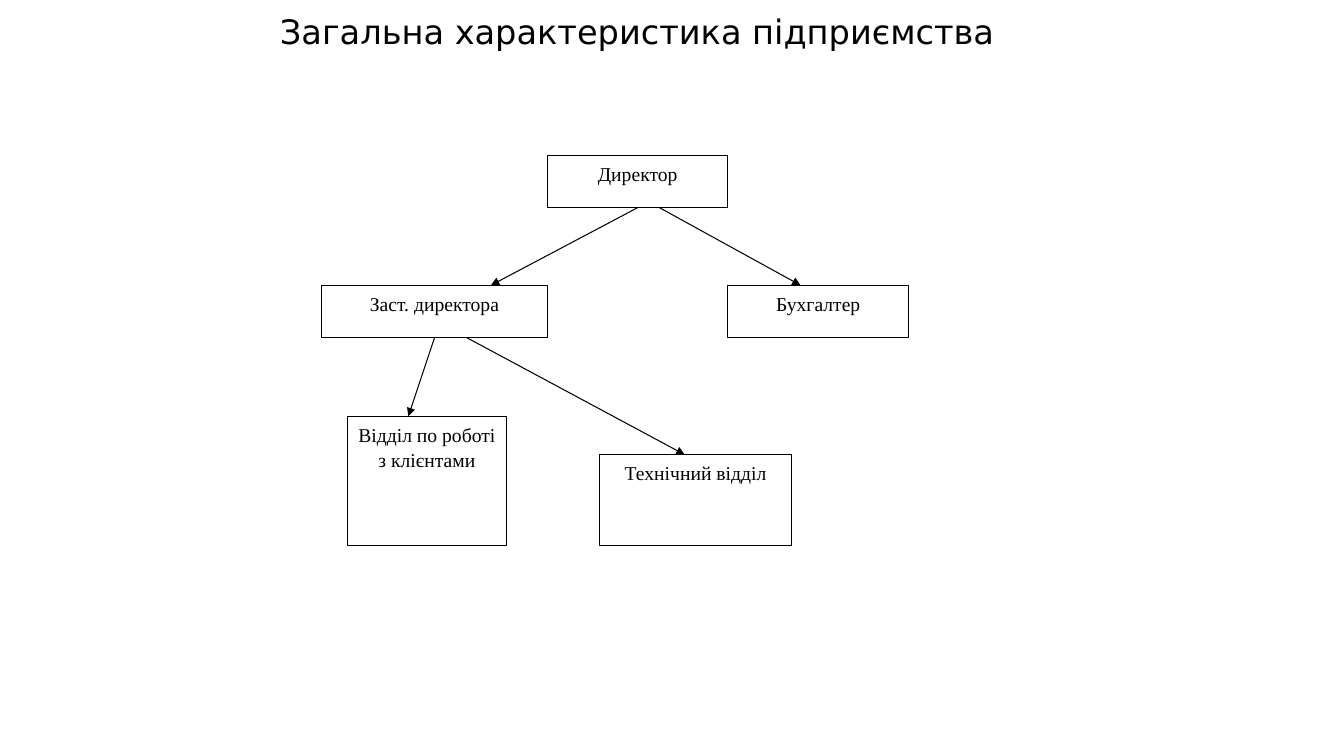
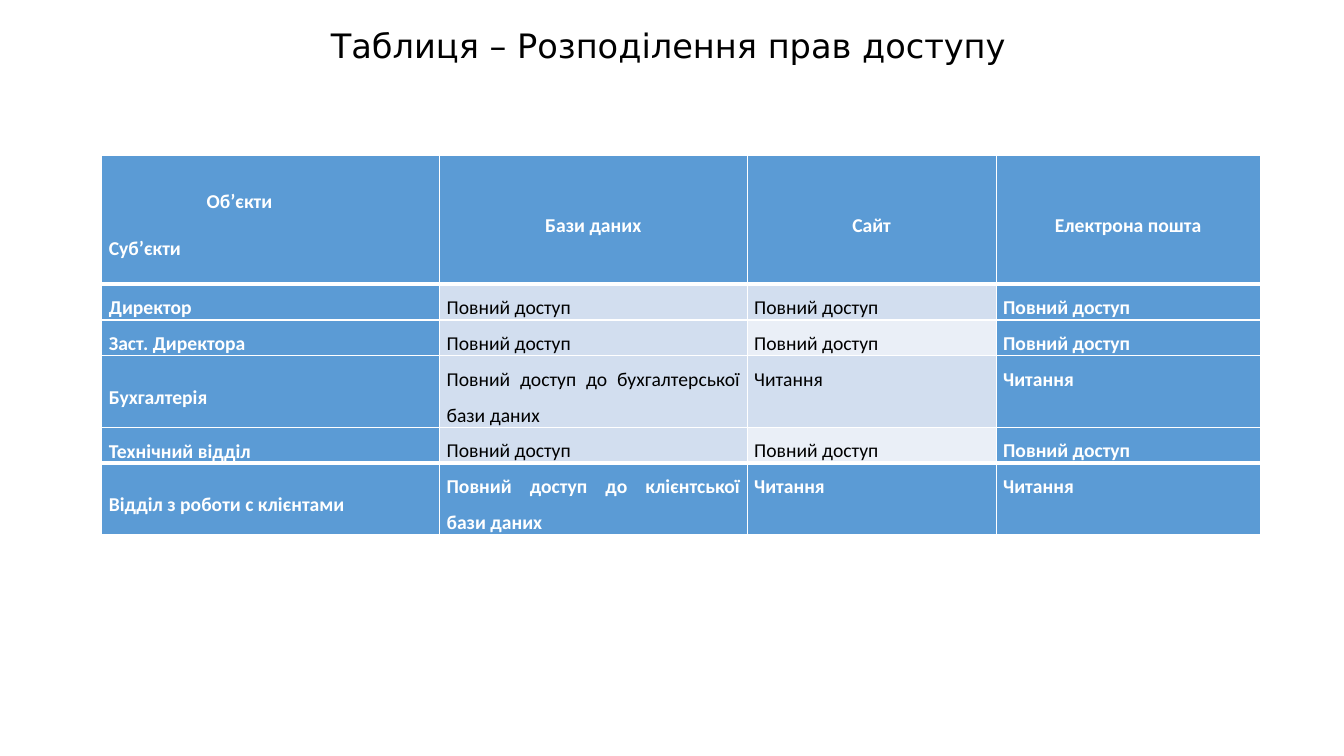
from dataclasses import dataclass

from pptx import Presentation
from pptx.dml.color import RGBColor
from pptx.enum import shapes, text
from pptx.oxml import ns
from pptx.util import Inches, Pt
from lxml import etree

BLACK, WHITE = "000000", "FFFFFF"
ACCENT, BAND, LIGHT_BAND = "5B9BD5", "D2DEEF", "EAEFF7"
TITLE_FONT, CHART_FONT, TABLE_FONT = "DejaVu Sans", "Times New Roman", "Calibri"
BOTTOM = 2


@dataclass
class Unit:
    label: str
    left: float
    top: float
    width: float
    height: float


@dataclass
class Arrow:
    start: tuple[float, float]
    end: tuple[float, float]
    source: str = ""


UNITS = [
    Unit("Директор", 5.43, 1.54, 1.79, 0.52),
    Unit("Заст. директора", 3.19, 2.83, 2.24, 0.52),
    Unit("Бухгалтер", 7.22, 2.83, 1.79, 0.52),
    Unit("Технічний відділ", 5.95, 4.51, 1.9, 0.9),
    Unit("Відділ по роботі з клієнтами", 3.45, 4.13, 1.57, 1.28),
]
ARROWS = [
    Arrow((6.54, 2.06), (7.94, 2.83)),
    Arrow((6.32, 2.06), (4.87, 2.83), "Директор"),
    Arrow((4.63, 3.35), (6.79, 4.51)),
    Arrow((4.31, 3.35), (4.05, 4.13), "Заст. директора"),
]

FULL, READ = "Повний доступ", "Читання"
ACCESS = [
    ["Об’єкти\nСуб’єкти", "Бази даних", "Сайт", "Електрона пошта"],
    ["Директор", FULL, FULL, FULL],
    ["Заст. Директора", FULL, FULL, FULL],
    ["Бухгалтерія", "Повний доступ до бухгалтерської бази даних", READ, READ],
    ["Технічний відділ", FULL, FULL, FULL],
    ["Відділ з роботи с клієнтами", "Повний доступ до клієнтської бази даних", READ, READ],
]
COLUMN_WIDTHS = [3.35, 3.05, 2.47, 2.62]
ROW_HEIGHTS = [1.28, 0.35, 0.35, 0.71, 0.35, 0.71]
LAST_ROW, LAST_COLUMN = len(ROW_HEIGHTS) - 1, len(COLUMN_WIDTHS) - 1


def color(value: str) -> RGBColor:
    """Turn a hex string into a colour."""
    return RGBColor.from_string(value)


def style_paragraph(paragraph, font: str, size: int, ink: str, align, spacing: float,
                    after: int = 0, bold: bool = False) -> None:
    """Set the font and spacing of one paragraph."""
    paragraph.font.name = font
    paragraph.font.size = Pt(size)
    paragraph.font.bold = bold
    paragraph.font.color.rgb = color(ink)
    paragraph.alignment = align
    paragraph.line_spacing = spacing
    paragraph.space_before = Pt(0)
    paragraph.space_after = Pt(after)


def add_titled_slide(presentation, title: str, left: float, top: float, height: float):
    """Add a title-only slide and format its title."""
    slide = presentation.slides.add_slide(presentation.slide_layouts[5])
    shape = slide.shapes.title
    shape.left, shape.top = Inches(left), Inches(top)
    shape.width, shape.height = Inches(11.5), Inches(height)
    frame = shape.text_frame
    frame.text = title
    frame.vertical_anchor = text.MSO_ANCHOR.MIDDLE
    style_paragraph(frame.paragraphs[0], TITLE_FONT, 24, BLACK, text.PP_ALIGN.CENTER, 0.9)
    return slide


def add_unit(slide, unit: Unit):
    """Draw one box of the organisation chart."""
    shape = slide.shapes.add_shape(
        shapes.MSO_SHAPE.RECTANGLE, Inches(unit.left), Inches(unit.top),
        Inches(unit.width), Inches(unit.height))
    shape.shadow.inherit = False
    shape.fill.solid()
    shape.fill.fore_color.rgb = color(WHITE)
    shape.line.color.rgb = color(BLACK)
    shape.line.width = Pt(0.75)
    frame = shape.text_frame
    frame.text = unit.label
    frame.word_wrap = True
    frame.vertical_anchor = text.MSO_ANCHOR.TOP
    style_paragraph(frame.paragraphs[0], CHART_FONT, 14, BLACK,
                    text.PP_ALIGN.CENTER, 1.07, after=8)
    return shape


def add_arrow(slide, arrow: Arrow, boxes: dict) -> None:
    """Draw one arrow between two boxes."""
    connector = slide.shapes.add_connector(
        shapes.MSO_CONNECTOR.STRAIGHT, *map(Inches, arrow.start + arrow.end))
    if arrow.source:
        connector.begin_connect(boxes[arrow.source], BOTTOM)
    connector.line.color.rgb = color(BLACK)
    connector.line.width = Pt(0.75)
    line = connector.line._get_or_add_ln()
    etree.SubElement(line, ns.qn("a:tailEnd"), type="triangle")
    etree.SubElement(connector._element.spPr, ns.qn("a:effectLst"))


def add_border(cell, side: str, width: float) -> None:
    """Add a white border to one side of a cell."""
    properties = cell._tc.get_or_add_tcPr()
    line = etree.SubElement(properties, ns.qn(f"a:ln{side}"), w=str(Pt(width)))
    fill = etree.SubElement(line, ns.qn("a:solidFill"))
    etree.SubElement(fill, ns.qn("a:srgbClr"), val=WHITE)


def cell_fill(row: int, column: int) -> str:
    """Choose the fill of a table cell from its place."""
    if row in (0, LAST_ROW) or column in (0, LAST_COLUMN):
        return ACCENT
    return LIGHT_BAND if column == 2 and row % 2 == 0 else BAND


def format_cell(cell, row: int, column: int) -> None:
    """Write and format one table cell."""
    heavy_top, heavy_bottom = row in (1, LAST_ROW), row in (0, LAST_ROW - 1)
    for side, heavy in (("L", False), ("R", False), ("T", heavy_top), ("B", heavy_bottom)):
        add_border(cell, side, 3 if heavy else 1)
    fill = cell_fill(row, column)
    cell.fill.solid()
    cell.fill.fore_color.rgb = color(fill)
    cell.margin_left = cell.margin_right = Inches(0.07)
    cell.margin_top = cell.margin_bottom = Inches(0)
    middle = row == 0 or column == 0
    cell.vertical_anchor = text.MSO_ANCHOR.MIDDLE if middle else text.MSO_ANCHOR.TOP
    if column == 0:
        align = text.PP_ALIGN.LEFT
    else:
        align = text.PP_ALIGN.CENTER if row == 0 else text.PP_ALIGN.JUSTIFY
    strong = fill == ACCENT
    cell.text = ACCESS[row][column]
    for paragraph in cell.text_frame.paragraphs:
        style_paragraph(paragraph, TABLE_FONT, 14, WHITE if strong else BLACK,
                        align, 1.5, after=8, bold=strong)


def add_access_table(slide) -> None:
    """Draw the table of access rights."""
    table = slide.shapes.add_table(
        len(ROW_HEIGHTS), len(COLUMN_WIDTHS), Inches(1.01), Inches(1.54),
        Inches(sum(COLUMN_WIDTHS)), Inches(sum(ROW_HEIGHTS))).table
    for column, width in zip(table.columns, COLUMN_WIDTHS):
        column.width = Inches(width)
    for row, height in zip(table.rows, ROW_HEIGHTS):
        row.height = Inches(height)
    for row in range(len(ROW_HEIGHTS)):
        for column in range(len(COLUMN_WIDTHS)):
            format_cell(table.cell(row, column), row, column)
    objects_heading = table.cell(0, 0).text_frame.paragraphs[0]
    objects_heading._p.get_or_add_pPr().set("marL", str(Inches(0.97)))


def main() -> None:
    """Build and save the presentation."""
    presentation = Presentation()
    presentation.slide_width, presentation.slide_height = Inches(13.33), Inches(7.5)

    structure = add_titled_slide(
        presentation, "Загальна характеристика підприємства", 0.57, -0.03, 0.72)
    boxes = {unit.label: add_unit(structure, unit) for unit in UNITS}
    for arrow in ARROWS:
        add_arrow(structure, arrow, boxes)

    rights = add_titled_slide(
        presentation, "Таблиця – Розподілення прав доступу", 0.88, 0, 0.95)
    add_access_table(rights)
    presentation.save("out.pptx")


if __name__ == "__main__":
    main()
